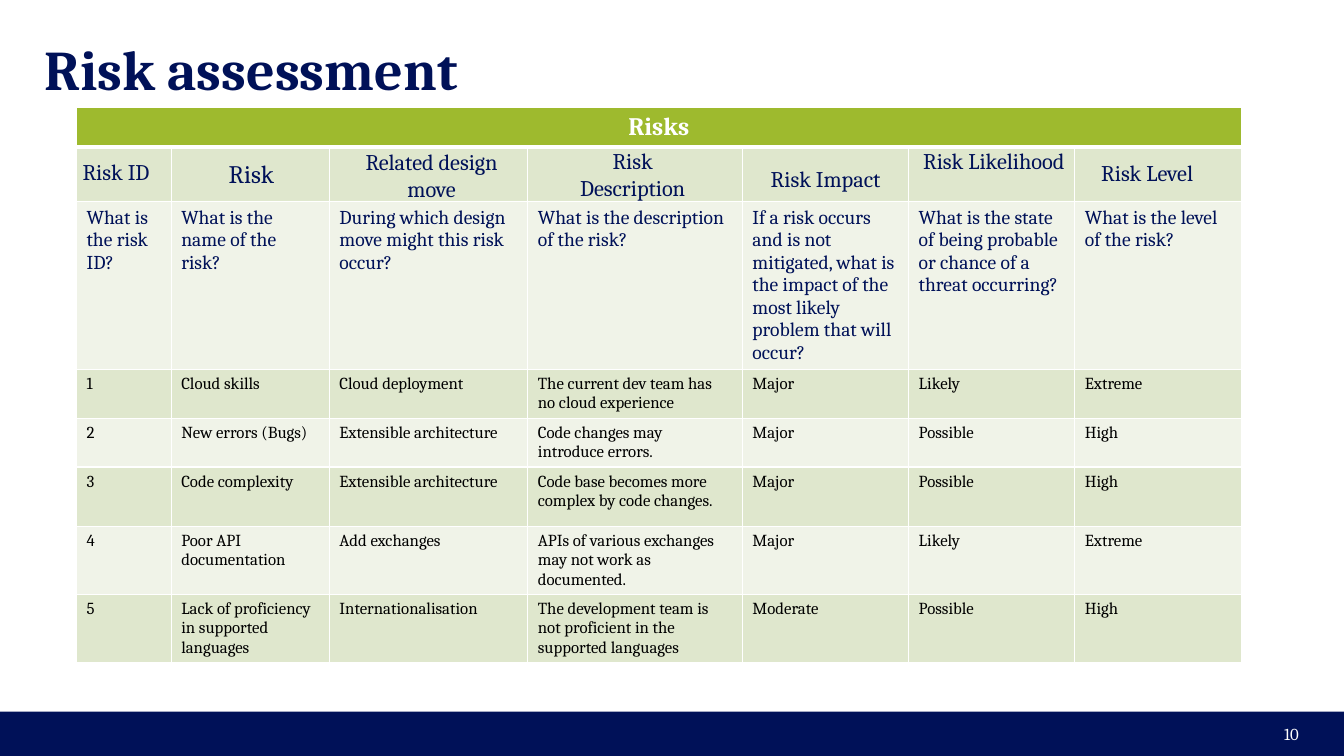
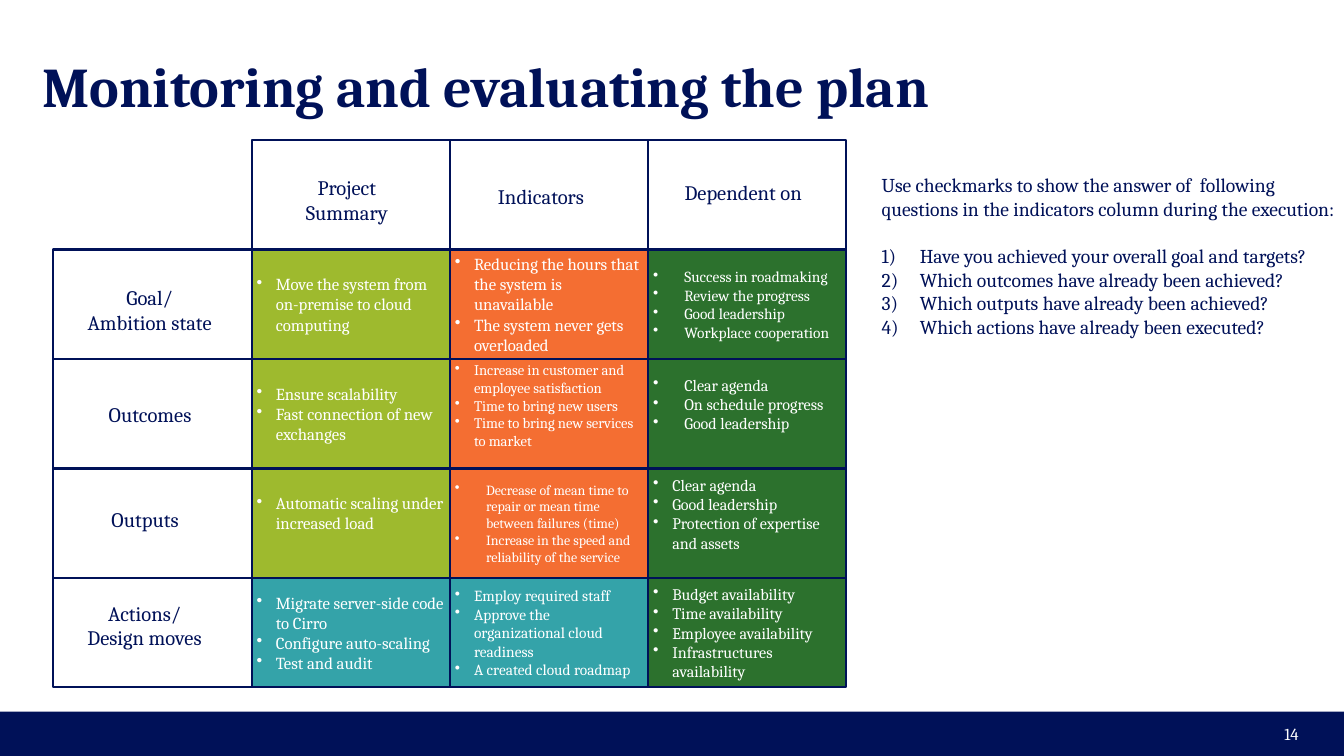
from dataclasses import dataclass
from itertools import accumulate

from lxml import etree
from pptx import Presentation
from pptx import util as u
from pptx.dml.color import RGBColor
from pptx.enum import shapes, text
from pptx.oxml import ns


@dataclass(frozen=True)
class Theme:
    width: float = 13.34
    height: float = 7.5
    font: str = "Cambria"
    navy: str = "001158"
    white: str = "FFFFFF"
    black: str = "000000"
    lime: str = "9EBA2E"
    bands: tuple = ("F0F3E8", "DFE7CD")
    orange: str = "F46E32"
    teal: str = "34A3A9"
    green: str = "2C712D"
    title: float = 40
    banner: float = 18
    heading: float = 16
    prompt: float = 14
    label: float = 14.7
    body: float = 12


T = Theme()
CENTER, RIGHT = text.PP_ALIGN.CENTER, text.PP_ALIGN.RIGHT
TOP, MIDDLE = text.MSO_ANCHOR.TOP, text.MSO_ANCHOR.MIDDLE
TIGHT = (0.05, 0.03, 0.05, 0.03)
LOOSE = (0.12,) * 4


# Shared helpers
def rgb(value):
    return RGBColor.from_string(value)


def inches(box):
    return [u.Inches(v) for v in box]


def write(tf, content, size, color, align=None, bold=False):
    tf.text = content
    for p in tf.paragraphs:
        p.alignment = align
        for r in p.runs:
            r.font.name, r.font.size, r.font.bold = T.font, u.Pt(size), bold
            r.font.color.rgb = rgb(color)


def frame(tf, insets, anchor):
    tf.word_wrap = True
    tf.auto_size = text.MSO_AUTO_SIZE.NONE
    tf.vertical_anchor = anchor
    tf.margin_left, tf.margin_top, tf.margin_right, tf.margin_bottom = inches(insets)


def add_text(slide, box, content, size, color=T.navy, align=None, bold=False,
             insets=LOOSE, anchor=TOP):
    tf = slide.shapes.add_textbox(*inches(box)).text_frame
    frame(tf, insets, anchor)
    write(tf, content, size, color, align, bold)
    return tf


def add_rect(slide, box, fill, line=None):
    sp = slide.shapes.add_shape(shapes.MSO_SHAPE.RECTANGLE, *inches(box))
    sp.shadow.inherit = False
    sp.fill.solid()
    sp.fill.fore_color.rgb = rgb(fill)
    if line:
        sp.line.color.rgb = rgb(line)
        sp.line.width = u.Pt(1.5)
    else:
        sp.line.fill.background()
    return sp


def add_bullet(p, indent, tag, **attrs):
    pPr = p._p.get_or_add_pPr()
    pPr.set("marL", str(u.Inches(indent)))
    pPr.set("indent", str(-u.Inches(indent)))
    etree.SubElement(pPr, ns.qn(tag), **attrs)


def add_borders(cell, bottom=1, top=1):
    tcPr = cell._tc.get_or_add_tcPr()
    for side, width in (("L", 1), ("R", 1), ("T", top), ("B", bottom)):
        ln = etree.SubElement(tcPr, ns.qn("a:ln" + side), w=str(u.Pt(width)))
        fill = etree.SubElement(ln, ns.qn("a:solidFill"))
        etree.SubElement(fill, ns.qn("a:srgbClr"), val=T.white)


def new_slide(prs, title, title_box, inset, number):
    slide = prs.slides.add_slide(prs.slide_layouts[6])
    band = 0.44
    add_rect(slide, (0, T.height - band, T.width, band), T.navy)
    add_text(slide, (9.99, 7.08, 3, 0.4), number, T.body, T.white, RIGHT,
             insets=(0.1, 0.05, 0.1, 0.05), anchor=MIDDLE)
    add_text(slide, title_box, title, T.title, bold=True,
             insets=(inset,) * 4, anchor=MIDDLE)
    return slide


# Risk table
RISK_COLS = (0.94, 1.57, 1.97, 2.13, 1.65, 1.65, 1.65)
RISK_ROWS = (0.37, 0.54, 1.58, 0.39, 0.48, 0.59, 0.59, 0.59)
RISKS = (
    ("What is the risk ID?", "What is the name of the risk?",
     "During which design move might this risk occur?",
     "What is the description of the risk?",
     "If a risk occurs and is not mitigated, what is the impact of the most "
     "likely problem that will occur?",
     "What is the state of being probable or chance of a threat occurring?",
     "What is the level of the risk?"),
    ("1", "Cloud skills", "Cloud deployment",
     "The current dev team has no cloud experience", "Major", "Likely", "Extreme"),
    ("2", "New errors (Bugs)", "Extensible architecture",
     "Code changes may introduce errors.", "Major", "Possible", "High"),
    ("3", "Code complexity", "Extensible architecture",
     "Code base becomes more complex by code changes.", "Major", "Possible", "High"),
    ("4", "Poor API documentation", "Add exchanges",
     "APIs of various exchanges may not work as documented.",
     "Major", "Likely", "Extreme"),
    ("5", "Lack of proficiency in supported languages", "Internationalisation",
     "The development team is not proficient in the supported languages",
     "Moderate", "Possible", "High"),
)
# Heading, box relative to its column and the heading row, alignment, size
RISK_HEADINGS = (
    ("Risk ID", (-0.06, 0.01, 1.1, 0.24), None, T.heading),
    ("Risk", (0.45, 0.01, 1.1, 0.24), None, T.banner),
    ("Related design move", (0.06, -0.09, 1.91, 0.43), CENTER, T.heading),
    ("Risk Description", (0.18, -0.1, 1.72, 0.68), CENTER, T.heading),
    ("Risk Impact", (-0.12, 0.08, 1.89, 0.38), CENTER, T.heading),
    ("Risk Likelihood", (-0.03, -0.1, 1.75, 0.77), CENTER, T.heading),
    ("Risk Level", (0.14, 0.02, 1.95, 0.47), None, T.heading),
)


def risk_table(slide, left, top):
    box = (left, top, sum(RISK_COLS), sum(RISK_ROWS))
    table = slide.shapes.add_table(len(RISK_ROWS), len(RISK_COLS), *inches(box)).table
    for col, width in zip(table.columns, RISK_COLS):
        col.width = u.Inches(width)
    for i, (row, height) in enumerate(zip(table.rows, RISK_ROWS)):
        row.height = u.Inches(height)
        for j, cell in enumerate(row.cells):
            add_borders(cell, bottom=3 if i == 0 else 1, top=3 if i == 1 else 1)
            cell.fill.solid()
            cell.fill.fore_color.rgb = rgb(T.bands[i % 2] if i else T.lime)
            if i == 2:
                write(cell.text_frame, RISKS[0][j], T.prompt, T.navy)
            elif i > 2:
                write(cell.text_frame, RISKS[i - 2][j], T.body, T.black)
    banner = table.cell(0, 0)
    banner.merge(table.cell(0, len(RISK_COLS) - 1))
    write(banner.text_frame, "Risks", T.banner, T.white, CENTER, True)

    # Headings over the second row
    starts = accumulate(RISK_COLS, initial=left)
    for x, (heading, (dx, dy, w, h), align, size) in zip(starts, RISK_HEADINGS):
        add_text(slide, (x + dx, top + RISK_ROWS[0] + dy, w, h), heading, size,
                 align=align)


# Monitoring matrix: fill, size, indent, extra bottom inset, bullets
MATRIX = {
    (1, 1): (T.lime, 12, 0.19, 0,
             "Move the system from on-premise to cloud computing"),
    (1, 2): (T.orange, 12, 0.19, 0,
             "Reducing the hours that the system is unavailable\n"
             "The system never gets overloaded"),
    (1, 3): (T.green, 11, 0.31, 0,
             "Success in roadmaking\nReview the progress\nGood leadership\n"
             "Workplace cooperation"),
    (2, 1): (T.lime, 12, 0.19, 0,
             "Ensure scalability\nFast connection of new exchanges"),
    (2, 2): (T.orange, 10.5, 0.19, 0.17,
             "Increase in customer and employee satisfaction\n"
             "Time to bring new users\nTime to bring new services to market"),
    (2, 3): (T.green, 11.5, 0.31, 0.19,
             "Clear agenda\nOn schedule progress\nGood leadership"),
    (3, 1): (T.lime, 12, 0.19, 0.2, "Automatic scaling under increased load"),
    (3, 2): (T.orange, 10, 0.31, 0,
             "Decrease of mean time to repair or mean time between failures (time)\n"
             "Increase in the speed and reliability of the service"),
    (3, 3): (T.green, 11.5, 0.19, 0.19,
             "Clear agenda\nGood leadership\nProtection of expertise and assets"),
    (4, 1): (T.teal, 12, 0.19, 0,
             "Migrate server-side code to Cirro\nConfigure auto-scaling\n"
             "Test and audit"),
    (4, 2): (T.teal, 11, 0.19, 0,
             "Employ required staff\nApprove the organizational cloud readiness\n"
             "A created cloud roadmap"),
    (4, 3): (T.green, 11.5, 0.19, 0,
             "Budget availability\nTime availability\nEmployee availability\n"
             "Infrastructures availability"),
}
# Label and its box relative to its cell
MATRIX_LABELS = {
    (0, 1): ("Project Summary", (0.27, 0.47, 1.35, 0.25)),
    (0, 2): ("Indicators", (0.39, 0.43, 1.03, 0.25)),
    (0, 3): ("Dependent on", (0.12, 0.42, 1.65, 0.2)),
    (1, 0): ("Goal/\nAmbition state", (0.21, 0.49, 1.49, 0.22)),
    (2, 0): ("Outcomes", (0.24, 0.43, 1.44, 0.23)),
    (3, 0): ("Outputs", (0.12, 0.38, 1.58, 0.25)),
    (4, 0): ("Actions/\nDesign moves", (0.2, 0.38, 1.41, 0.18)),
}


def matrix(slide, left, top, width, height):
    w, h = width / 4, height / 5
    for (row, col), (fill, size, indent, extra, items) in MATRIX.items():
        sp = add_rect(slide, (left + col * w, top + row * h, w, h), fill, T.navy)
        tf = sp.text_frame
        frame(tf, TIGHT[:3] + (TIGHT[3] + extra,), MIDDLE)
        write(tf, items, size, T.white, text.PP_ALIGN.LEFT)
        for p in tf.paragraphs:
            add_bullet(p, indent, "a:buChar", char="•")
    for (row, col), (label, (dx, dy, lw, lh)) in MATRIX_LABELS.items():
        x, y = left + col * w, top + row * h
        add_rect(slide, (x, y, w, h), T.white, T.navy)
        add_text(slide, (x + dx, y + dy, lw, lh), label, T.label, align=CENTER,
                 insets=TIGHT, anchor=MIDDLE)


# Questions beside the matrix
QUESTIONS = (
    "Use checkmarks to show the answer of  following questions in the indicators "
    "column during the execution:",
    "Have you achieved your overall goal and targets?",
    "Which outcomes have already been achieved?",
    "Which outputs have already been achieved?",
    "Which actions have already been executed?",
)


def questions(slide, box):
    tf = add_text(slide, box, "\n".join(QUESTIONS), T.prompt,
                  insets=(0.12, 0.12, 0.08, 0.12))
    intro, *numbered = tf.paragraphs
    intro.space_after = u.Pt(17)
    for p in numbered:
        add_bullet(p, 0.38, "a:buAutoNum", type="arabicParenR")


# Slides
prs = Presentation()
prs.slide_width, prs.slide_height = inches((T.width, T.height))

s = new_slide(prs, "Risk assessment", (0.44, 0.44, 12.46, 0.47), 0, "10")
risk_table(s, 0.76, 1.07)

s = new_slide(prs, "Monitoring and evaluating the plan", (0.29, 0.61, 12, 0.47),
              0.13, "14")
matrix(s, 0.53, 1.39, 7.87, 5.43)
questions(s, (8.63, 1.6, 4.71, 4.13))

prs.save("out.pptx")
